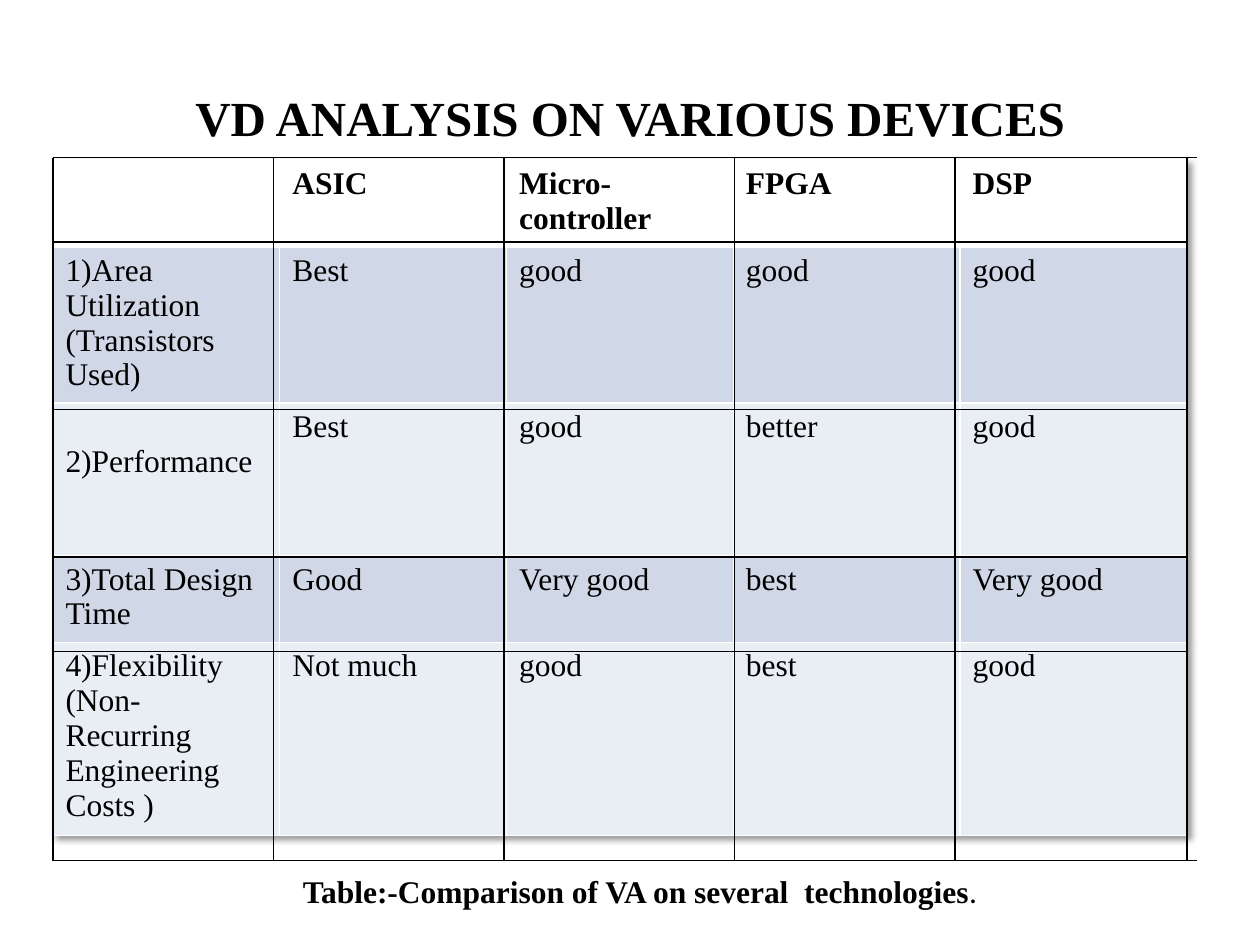
from typing import NamedTuple

from lxml.etree import SubElement, fromstring
from pptx import Presentation
from pptx.dml.color import RGBColor
from pptx.enum.shapes import MSO_CONNECTOR
from pptx.enum.text import MSO_ANCHOR, PP_ALIGN
from pptx.oxml.ns import qn
from pptx.util import Inches, Pt

BLACK = RGBColor(0x00, 0x00, 0x00)
WHITE = RGBColor(0xFF, 0xFF, 0xFF)
BAND_DARK = RGBColor(0xD0, 0xD8, 0xE8)
BAND_LIGHT = RGBColor(0xE9, 0xED, 0xF4)
SERIF = "Times New Roman"

TABLE_LEFT, TABLE_TOP = 0.42, 1.27
COLUMN_WIDTH = 1.8
FRAME_TOP, FRAME_BOTTOM = 1.25, 6.83
FRAME_RIGHT, OVERHANG_RIGHT = 9.42, 9.5

TABLE_SHADOW = (
    '<a:effectLst xmlns:a="http://schemas.openxmlformats.org/drawingml/2006/main">'
    '<a:outerShdw blurRad="50800" dist="38100" dir="2700000" algn="tl" rotWithShape="0">'
    '<a:srgbClr val="000000"><a:alpha val="40000"/></a:srgbClr>'
    "</a:outerShdw></a:effectLst>"
)


class Criterion(NamedTuple):
    height: float
    label: str
    ratings: tuple[str, ...]
    label_margin_top: float = 0.05


class Rule(NamedTuple):
    x1: float
    y1: float
    x2: float
    y2: float


HEADER = Criterion(0.69, "", ("ASIC", "Micro-controller", "FPGA", "DSP"))
CRITERIA = [
    Criterion(1.24, "1)Area Utilization\n(Transistors Used)", ("Best", "good", "good", "good")),
    Criterion(1.21, "2)Performance", ("Best", "good", "better", "good"), 0.33),
    Criterion(0.69, "3)Total Design Time", ("Good", "Very good", "best", "Very good")),
    Criterion(1.53, "4)Flexibility\n(Non- Recurring\nEngineering Costs )",
              ("Not much", "good", "best", "good")),
]

COLUMN_RULES = [Rule(x, FRAME_TOP, x, FRAME_BOTTOM)
                for x in (TABLE_LEFT, 2.17, 4, 5.83, 7.58, FRAME_RIGHT)]
ROW_RULES = [Rule(TABLE_LEFT, y, FRAME_RIGHT, y) for y in (1.92, 3.25, 4.42, 5.17)]
OUTER_RULES = [Rule(TABLE_LEFT, y, OVERHANG_RIGHT, y) for y in (FRAME_TOP, FRAME_BOTTOM)]


def set_font(font, size: float, bold: bool) -> None:
    font.name = SERIF
    font.size = Pt(size)
    font.bold = bold
    font.color.rgb = BLACK


def add_title(slide) -> None:
    title = slide.shapes.title
    title.left, title.top = Inches(0.5), Inches(0.3)
    title.width, title.height = Inches(9), Inches(1.25)
    frame = title.text_frame
    frame.text = "VD ANALYSIS ON VARIOUS DEVICES"
    frame.vertical_anchor = MSO_ANCHOR.MIDDLE
    heading = frame.paragraphs[0]
    heading.alignment = PP_ALIGN.CENTER
    set_font(heading.font, 28, True)


def fill_cell(cell, text: str, color: RGBColor, bold: bool) -> None:
    cell.fill.solid()
    cell.fill.fore_color.rgb = color
    cell.text = text
    for paragraph in cell.text_frame.paragraphs:
        set_font(paragraph.font, 18, bold)


def add_comparison(slide) -> None:
    rows = [HEADER, *CRITERIA]
    column_count = len(HEADER.ratings) + 1
    graphic = slide.shapes.add_table(
        len(rows), column_count, Inches(TABLE_LEFT), Inches(TABLE_TOP),
        Inches(COLUMN_WIDTH * column_count), Inches(sum(row.height for row in rows)))
    table = graphic.table
    table._tbl.tblPr.insert(0, fromstring(TABLE_SHADOW))
    for column in table.columns:
        column.width = Inches(COLUMN_WIDTH)
    for r, row in enumerate(rows):
        table.rows[r].height = Inches(row.height)
        is_header = r == 0
        color = WHITE if is_header else (BAND_LIGHT, BAND_DARK)[r % 2]
        for c, text in enumerate((row.label, *row.ratings)):
            fill_cell(table.cell(r, c), text, color, is_header)
        table.cell(r, 0).margin_top = Inches(row.label_margin_top)


def add_caption(slide) -> None:
    box = slide.shapes.add_textbox(Inches(0.5), Inches(6.87), Inches(9.16), Inches(0.4))
    box.text_frame.word_wrap = True
    caption = box.text_frame.paragraphs[0]
    caption.alignment = PP_ALIGN.CENTER
    set_font(caption.font, 18, True)
    caption.add_run().text = "Table:-Comparison of VA on several  technologies"
    full_stop = caption.add_run()
    full_stop.text = "."
    full_stop.font.name = "Calibri"
    full_stop.font.bold = False


def add_rule(slide, rule: Rule) -> None:
    line = slide.shapes.add_connector(
        MSO_CONNECTOR.STRAIGHT, *(Inches(value) for value in rule))
    line.line.color.rgb = BLACK
    line.line.width = Pt(0.75)
    SubElement(line._element.spPr, qn("a:effectLst"))


def main() -> None:
    deck = Presentation()
    deck.slide_width, deck.slide_height = Inches(10), Inches(7.5)
    slide = deck.slides.add_slide(deck.slide_layouts[5])
    add_title(slide)
    add_comparison(slide)
    add_caption(slide)
    for rule in COLUMN_RULES + ROW_RULES + OUTER_RULES:
        add_rule(slide, rule)
    deck.save("out.pptx")


if __name__ == "__main__":
    main()
